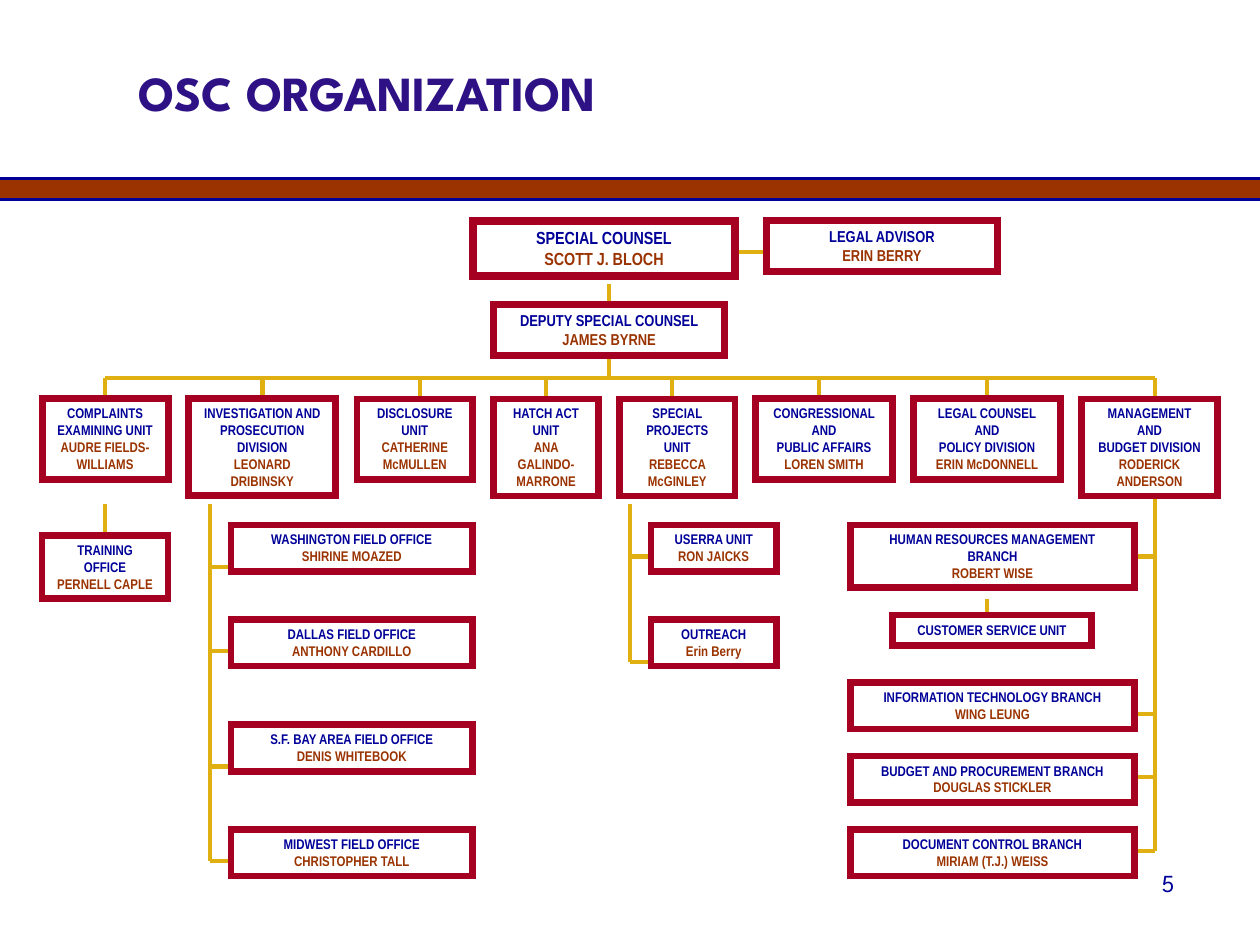
"""Build the OSC organization chart slide."""
from typing import NamedTuple

from lxml import etree
from pptx import Presentation
from pptx import util as u
from pptx.dml.color import RGBColor
from pptx.enum import shapes, text
from pptx.oxml.ns import qn

COLORS = {
    "navy": "000099",
    "rust": "9A3300",
    "gold": "E0AF12",
    "crimson": "A50021",
    "violet": "2D1185",
    "white": "FFFFFF",
}
BOX_FONT = "Arial Narrow"
HEAD_FONT = "League Spartan"
BUS_Y, UNIT_Y, UNDER_Y = 7.62, 8.04, 10.16


class Box(NamedTuple):
    x: float
    y: float
    w: float
    h: float
    unit: list[str]
    head: list[str]
    size: float = 8
    border: float = 3.75


class Line(NamedTuple):
    x1: float
    y1: float
    x2: float
    y2: float
    color: str = "gold"
    width: float = 2.5


class Tree(NamedTuple):
    x: float
    top: float
    edge: float
    branches: list[float]
    width: float


def unit_box(x: float, w: float, h: float, unit: list[str], head: list[str],
             border: float = 3.75) -> Box:
    """Return a box in the row of units."""
    return Box(x, UNIT_Y, w, h, unit, head, border=border)


def column(x: float, w: float, rows: list[tuple[float, str, str]]) -> list[Box]:
    """Return two-line boxes stacked in one column."""
    return [Box(x, y, w, 0.94, [unit], [head]) for y, unit, head in rows]


BANDS = [
    Line(0, 3.81, 25.4, 3.81, "rust", 12),
    Line(0, 4.02, 25.4, 4.02, "navy", 2),
    Line(0, 3.6, 25.4, 3.6, "navy", 2),
]
LINKS = [
    Line(14.82, 5.08, 15.45, 5.08),
    Line(12.28, 5.72, 12.28, 6.14),
    Line(12.28, 7.2, 12.28, BUS_Y),
    Line(2.12, BUS_Y, 23.28, BUS_Y),
    Line(2.12, UNDER_Y, 2.12, 10.8),
    Line(19.9, 12.07, 19.9, 12.49),
]
DROPS = [2.12, 5.29, 8.47, 11.01, 13.55, 16.51, 19.9]
TREES = [
    Tree(4.23, UNDER_Y, 4.66, [11.43, 13.12, 15.45, 17.36], 2.25),
    Tree(12.7, UNDER_Y, 13.12, [11.22, 13.34], 2.25),
    Tree(23.28, BUS_Y, 22.86, [11.22, 14.39, 15.66, 17.15], 2.5),
]
BOXES = [
    Box(9.53, 4.45, 5.29, 1.12, ["SPECIAL COUNSEL"], ["SCOTT J. BLOCH"], 10, 4.75),
    Box(15.45, 4.45, 4.66, 1.02, ["LEGAL ADVISOR"], ["ERIN BERRY"], 9, 4),
    Box(9.95, 6.14, 4.66, 1.02, ["DEPUTY SPECIAL COUNSEL"], ["JAMES BYRNE"], 9, 4),
    unit_box(0.85, 2.54, 1.63, ["COMPLAINTS EXAMINING UNIT"], ["AUDRE FIELDS-WILLIAMS"], 4),
    unit_box(3.81, 2.96, 1.96, ["INVESTIGATION AND PROSECUTION DIVISION"],
             ["LEONARD DRIBINSKY"], 4),
    unit_box(7.2, 2.33, 1.63, ["DISCLOSURE", "UNIT"], ["CATHERINE McMULLEN"]),
    unit_box(9.95, 2.12, 1.96, ["HATCH ACT", "UNIT"], ["ANA GALINDO-MARRONE"]),
    unit_box(12.49, 2.33, 1.96, ["SPECIAL PROJECTS UNIT"], ["REBECCA McGINLEY"]),
    unit_box(15.24, 2.75, 1.63, ["CONGRESSIONAL AND", "PUBLIC AFFAIRS"], ["LOREN SMITH"], 4),
    unit_box(18.42, 2.96, 1.63, ["LEGAL COUNSEL", "AND", "POLICY DIVISION"],
             ["ERIN McDONNELL"], 4),
    unit_box(21.8, 2.75, 1.96, ["MANAGEMENT AND", "BUDGET DIVISION"],
             ["RODERICK", "ANDERSON"]),
    Box(0.85, 10.8, 2.54, 1.27, ["TRAINING OFFICE"], ["PERNELL CAPLE"]),
    *column(4.66, 4.87, [
        (10.58, "WASHINGTON FIELD OFFICE", "SHIRINE MOAZED"),
        (12.49, "DALLAS FIELD OFFICE", "ANTHONY CARDILLO"),
        (14.61, "S.F. BAY AREA FIELD OFFICE", "DENIS WHITEBOOK"),
        (16.72, "MIDWEST FIELD OFFICE", "CHRISTOPHER TALL"),
    ]),
    *column(13.12, 2.54, [
        (10.58, "USERRA UNIT", "RON JAICKS"),
        (12.49, "OUTREACH", "Erin Berry"),
    ]),
    Box(17.15, 10.58, 5.72, 1.27, ["HUMAN RESOURCES MANAGEMENT BRANCH"], ["ROBERT WISE"]),
    Box(17.99, 12.4, 4.02, 0.61, ["CUSTOMER SERVICE UNIT"], []),
    *column(17.15, 5.72, [
        (13.76, "INFORMATION TECHNOLOGY BRANCH", "WING LEUNG"),
        (15.24, "BUDGET AND PROCUREMENT BRANCH", "DOUGLAS STICKLER"),
        (16.72, "DOCUMENT CONTROL BRANCH", "MIRIAM (T.J.) WEISS"),
    ]),
]


def rgb(name: str) -> RGBColor:
    """Return a named colour."""
    return RGBColor.from_string(COLORS[name])


def style(p, font: str, size: float, color: str, bold: bool) -> None:
    """Set the font of a paragraph."""
    p.font.name, p.font.size, p.font.bold = font, u.Pt(size), bold
    p.font.color.rgb = rgb(color)


def draw_line(s, line: Line) -> None:
    """Draw a straight line without shadow."""
    ends = (u.Cm(v) for v in line[:4])
    sp = s.shapes.add_connector(shapes.MSO_CONNECTOR.STRAIGHT, *ends)
    sp.line.color.rgb = rgb(line.color)
    sp.line.width = u.Pt(line.width)
    etree.SubElement(sp._element.spPr, qn("a:effectLst"))


def draw_tree(s, tree: Tree) -> None:
    """Draw a spine and its side branches."""
    draw_line(s, Line(tree.x, tree.top, tree.x, tree.branches[-1], width=tree.width))
    for y in tree.branches:
        draw_line(s, Line(tree.x, y, tree.edge, y))


def draw_box(s, box: Box) -> None:
    """Draw a bordered box with a unit and the name of its head."""
    sp = s.shapes.add_shape(shapes.MSO_SHAPE.RECTANGLE, *(u.Cm(v) for v in box[:4]))
    sp.shadow.inherit = False
    sp.fill.solid()
    sp.fill.fore_color.rgb = rgb("white")
    sp.line.color.rgb = rgb("crimson")
    sp.line.width = u.Pt(box.border)
    etree.SubElement(sp._element.spPr.find(qn("a:ln")), qn("a:miter"), lim="800000")
    tf = sp.text_frame
    tf.word_wrap = True
    tf.vertical_anchor = text.MSO_ANCHOR.TOP
    tf.auto_size = text.MSO_AUTO_SIZE.SHAPE_TO_FIT_TEXT
    tf.text = "\n".join(box.unit + box.head)
    for i, p in enumerate(tf.paragraphs):
        p.alignment = text.PP_ALIGN.CENTER
        style(p, BOX_FONT, box.size, "navy" if i < len(box.unit) else "rust", True)


def add_text(s, x: float, y: float, w: float, h: float, words: str):
    """Add a wrapping text box and return its text frame."""
    tf = s.shapes.add_textbox(u.Cm(x), u.Cm(y), u.Cm(w), u.Cm(h)).text_frame
    tf.word_wrap = True
    tf.text = words
    return tf


def main() -> None:
    """Draw the slide and save it."""
    prs = Presentation()
    prs.slide_width, prs.slide_height = u.Cm(25.4), u.Cm(19.05)
    s = prs.slides.add_slide(prs.slide_layouts[6])
    for line in BANDS + LINKS:
        draw_line(s, line)
    for x in DROPS:
        draw_line(s, Line(x, BUS_Y, x, UNIT_Y))
    for tree in TREES:
        draw_tree(s, tree)
    for box in BOXES:
        draw_box(s, box)

    tf = add_text(s, 2.54, 1.27, 17.78, 1.32, "OSC ORGANIZATION")
    tf.auto_size = text.MSO_AUTO_SIZE.SHAPE_TO_FIT_TEXT
    p = tf.paragraphs[0]
    p.line_spacing = 0.9
    style(p, HEAD_FONT, 28, "violet", True)

    tf = add_text(s, 21.26, 16.94, 2.67, 1.27, "5")
    tf.vertical_anchor = text.MSO_ANCHOR.BOTTOM
    p = tf.paragraphs[0]
    p.alignment = text.PP_ALIGN.RIGHT
    style(p, HEAD_FONT, 14, "navy", False)
    prs.save("out.pptx")


if __name__ == "__main__":
    main()
